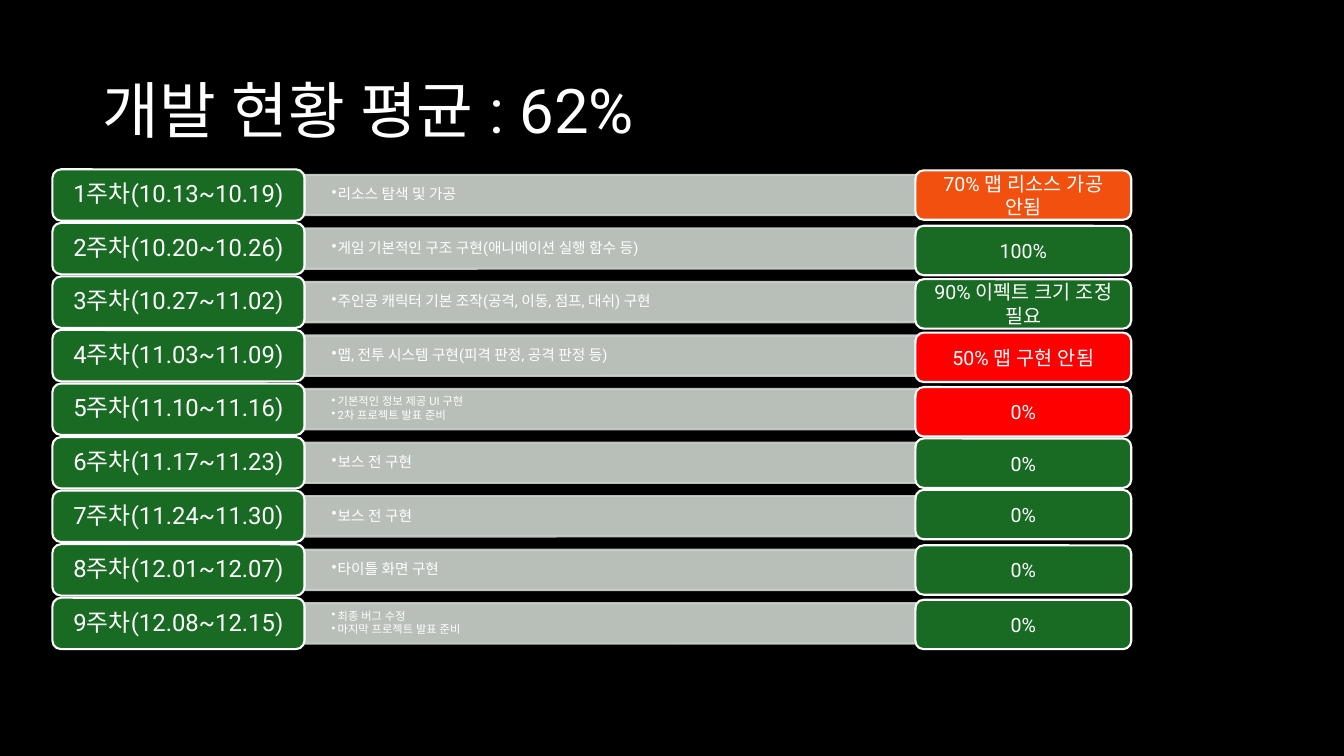
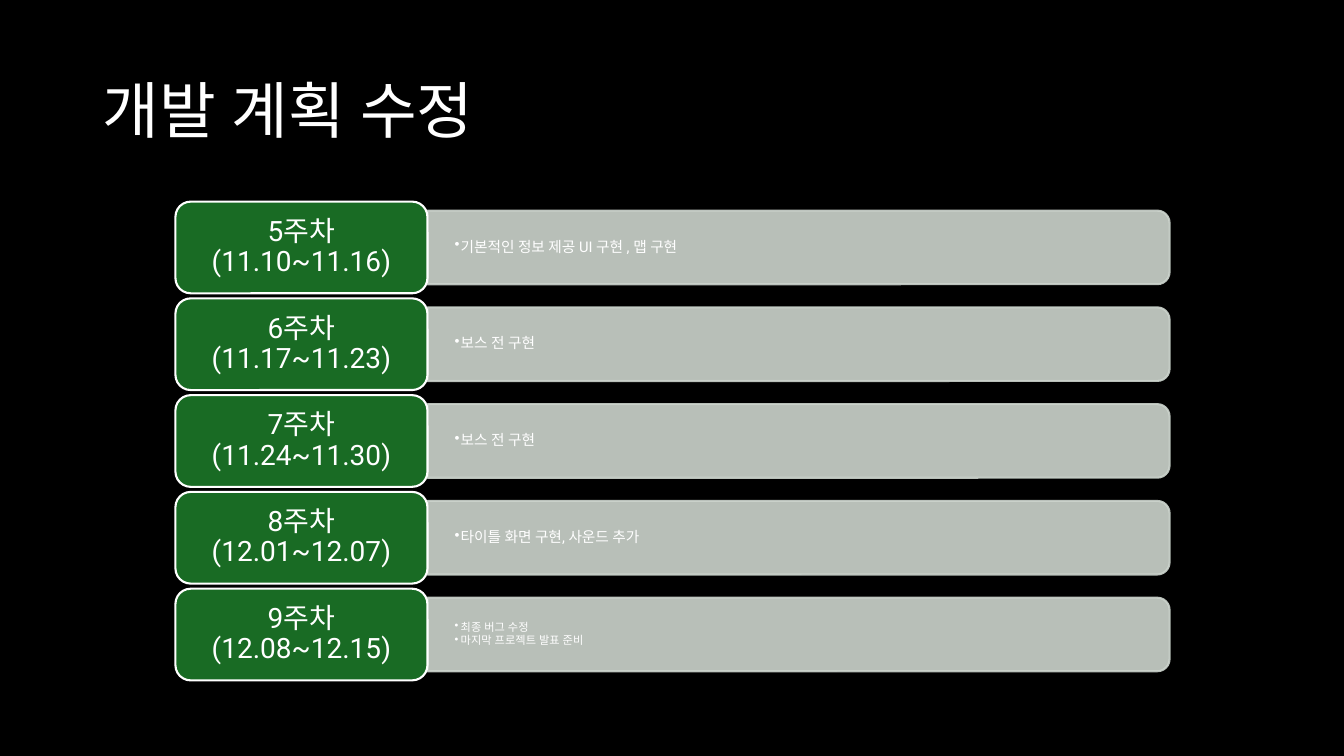
from dataclasses import dataclass

from lxml import etree
from pptx import Presentation
from pptx.dml.color import RGBColor
from pptx.enum import shapes, text
from pptx.oxml import ns
from pptx.util import Inches, Pt


@dataclass(frozen=True)
class Theme:
    font: str = "Roboto"
    background: str = "000000"
    white: str = "FFFFFF"
    green: str = "196B24"
    orange: str = "F1500F"
    red: str = "FF0000"
    bar: str = "CCD4CD"
    bar_opacity: int = 90
    outline: float = 1.5
    title_size: float = 44
    status_size: float = 14
    task_size: float = 10.5
    small_task_size: float = 8
    tight: float = 0.9


@dataclass(frozen=True)
class Week:
    label: str
    tasks: tuple[str, ...]


@dataclass(frozen=True)
class Status:
    top: float
    caption: str
    color: str


@dataclass(frozen=True)
class Schedule:
    left: float
    first_top: float
    last_top: float
    label_height: float
    label_size: float
    bar_height: float
    label_width: float = 2.5
    bar_width: float = 7.36


THEME = Theme()

LABELS = (
    "1주차(10.13~10.19)",
    "2주차(10.20~10.26)",
    "3주차(10.27~11.02)",
    "4주차(11.03~11.09)",
    "5주차(11.10~11.16)",
    "6주차(11.17~11.23)",
    "7주차(11.24~11.30)",
    "8주차(12.01~12.07)",
    "9주차(12.08~12.15)",
)
BOSS = ("보스 전 구현",)
FINISH = ("최종 버그 수정", "마지막 프로젝트 발표 준비")
FIRST_TASKS = (
    ("리소스 탐색 및 가공",),
    ("게임 기본적인 구조 구현(애니메이션 실행 함수 등)",),
    ("주인공 캐릭터 기본 조작(공격, 이동, 점프, 대쉬) 구현",),
    ("맵, 전투 시스템 구현(피격 판정, 공격 판정 등)",),
    ("기본적인 정보 제공 UI 구현", "2차 프로젝트 발표 준비"),
    BOSS,
    BOSS,
    ("타이틀 화면 구현",),
    FINISH,
)
REVISED_TASKS = (
    ("기본적인 정보 제공 UI 구현 , 맵 구현",),
    BOSS,
    BOSS,
    ("타이틀 화면 구현, 사운드 추가",),
    FINISH,
)
FIRST_PLAN = [Week(*pair) for pair in zip(LABELS, FIRST_TASKS)]
REVISED_PLAN = [Week(*pair) for pair in zip(LABELS[4:], REVISED_TASKS)]

STATUSES = (
    Status(1.69, "70% 맵 리소스 가공 안됨", THEME.orange),
    Status(2.24, "100%", THEME.green),
    Status(2.77, "90% 이펙트 크기 조정 필요", THEME.green),
    Status(3.3, "50% 맵 구현 안됨", THEME.red),
    Status(3.84, "0%", THEME.red),
    Status(4.35, "0%", THEME.green),
    Status(4.86, "0%", THEME.green),
    Status(5.41, "0%", THEME.green),
    Status(5.95, "0%", THEME.green),
)

FIRST_SCHEDULE = Schedule(0.52, 1.68, 5.93, 0.51, 17, 0.4)
REVISED_SCHEDULE = Schedule(1.74, 2, 5.84, 0.91, 20, 0.73)


def rgb(color: str) -> RGBColor:
    return RGBColor.from_string(color)


def paint(shape, fill: str, line: str) -> None:
    shape.shadow.inherit = False
    shape.fill.solid()
    shape.fill.fore_color.rgb = rgb(fill)
    shape.line.color.rgb = rgb(line)
    shape.line.width = Pt(THEME.outline)


def write(shape, content: str, size: float, align=text.PP_ALIGN.LEFT,
          spacing: float = 1, side: float = 0.1, edge: float = 0.05) -> None:
    frame = shape.text_frame
    frame.word_wrap = True
    frame.vertical_anchor = text.MSO_ANCHOR.MIDDLE
    frame.margin_left = frame.margin_right = Inches(side)
    frame.margin_top = frame.margin_bottom = Inches(edge)
    frame.text = content
    for para in frame.paragraphs:
        para.alignment = align
        para.line_spacing = spacing
        for span in para.runs:
            span.font.name = THEME.font
            span.font.size = Pt(size)
            span.font.color.rgb = rgb(THEME.white)
            etree.SubElement(span.font._element, ns.qn("a:ea"), typeface=THEME.font)


def add_page(deck, title: str):
    page = deck.slides.add_slide(deck.slide_layouts[6])
    page.background.fill.solid()
    page.background.fill.fore_color.rgb = rgb(THEME.background)
    box = page.shapes.add_textbox(Inches(0.92), Inches(0.4), Inches(11.5), Inches(1.45))
    write(box, title, THEME.title_size, spacing=THEME.tight)
    return page


def add_pill(page, left: float, top: float, width: float, height: float, color: str):
    pill = page.shapes.add_shape(
        shapes.MSO_SHAPE.ROUNDED_RECTANGLE,
        Inches(left), Inches(top), Inches(width), Inches(height))
    paint(pill, color, THEME.white)
    return pill


def add_bar(page, left: float, middle: float, width: float, height: float) -> None:
    bar = page.shapes.add_shape(
        shapes.MSO_SHAPE.ROUND_2_SAME_RECTANGLE,
        Inches(left + (width - height) / 2), Inches(middle - width / 2),
        Inches(height), Inches(width))
    bar.rotation = 90
    paint(bar, THEME.bar, THEME.bar)
    for color in bar._element.spPr.iter(ns.qn("a:srgbClr")):
        etree.SubElement(color, ns.qn("a:alpha"), val=str(THEME.bar_opacity * 1000))


def add_tasks(page, tasks: tuple[str, ...], left: float, middle: float,
              width: float, height: float) -> None:
    box = page.shapes.add_textbox(
        Inches(left), Inches(middle - height / 2), Inches(width), Inches(height))
    size = THEME.task_size if len(tasks) == 1 else THEME.small_task_size
    write(box, "\n".join(tasks), size, spacing=THEME.tight, side=0.27, edge=0.14)
    indent = Inches(0.06)
    for para in box.text_frame.paragraphs:
        para.space_after = Pt(size * 0.15)
        properties = para._p.get_or_add_pPr()
        properties.set("marL", str(indent))
        properties.set("indent", str(-indent))
        etree.SubElement(properties, ns.qn("a:buChar"), char="•")


def add_schedule(page, plan: list[Week], grid: Schedule) -> None:
    pitch = (grid.last_top - grid.first_top) / (len(plan) - 1)
    bar_left = grid.left + grid.label_width
    for index, week in enumerate(plan):
        top = grid.first_top + index * pitch
        middle = top + grid.label_height / 2
        add_bar(page, bar_left, middle, grid.bar_width, grid.bar_height)
        add_tasks(page, week.tasks, bar_left, middle, grid.bar_width, grid.bar_height)
        label = add_pill(page, grid.left, top, grid.label_width,
                         grid.label_height, THEME.green)
        write(label, week.label, grid.label_size, text.PP_ALIGN.CENTER, THEME.tight)


def add_statuses(page) -> None:
    for status in STATUSES:
        pill = add_pill(page, 9.08, status.top, 2.14, 0.49, status.color)
        write(pill, status.caption, THEME.status_size, text.PP_ALIGN.CENTER)


def main() -> None:
    deck = Presentation()
    deck.slide_width, deck.slide_height = Inches(13.33), Inches(7.5)

    progress = add_page(deck, "개발 현황 평균 : 62%")
    add_schedule(progress, FIRST_PLAN, FIRST_SCHEDULE)
    add_statuses(progress)

    revision = add_page(deck, "개발 계획 수정")
    add_schedule(revision, REVISED_PLAN, REVISED_SCHEDULE)

    deck.save("out.pptx")


if __name__ == "__main__":
    main()
